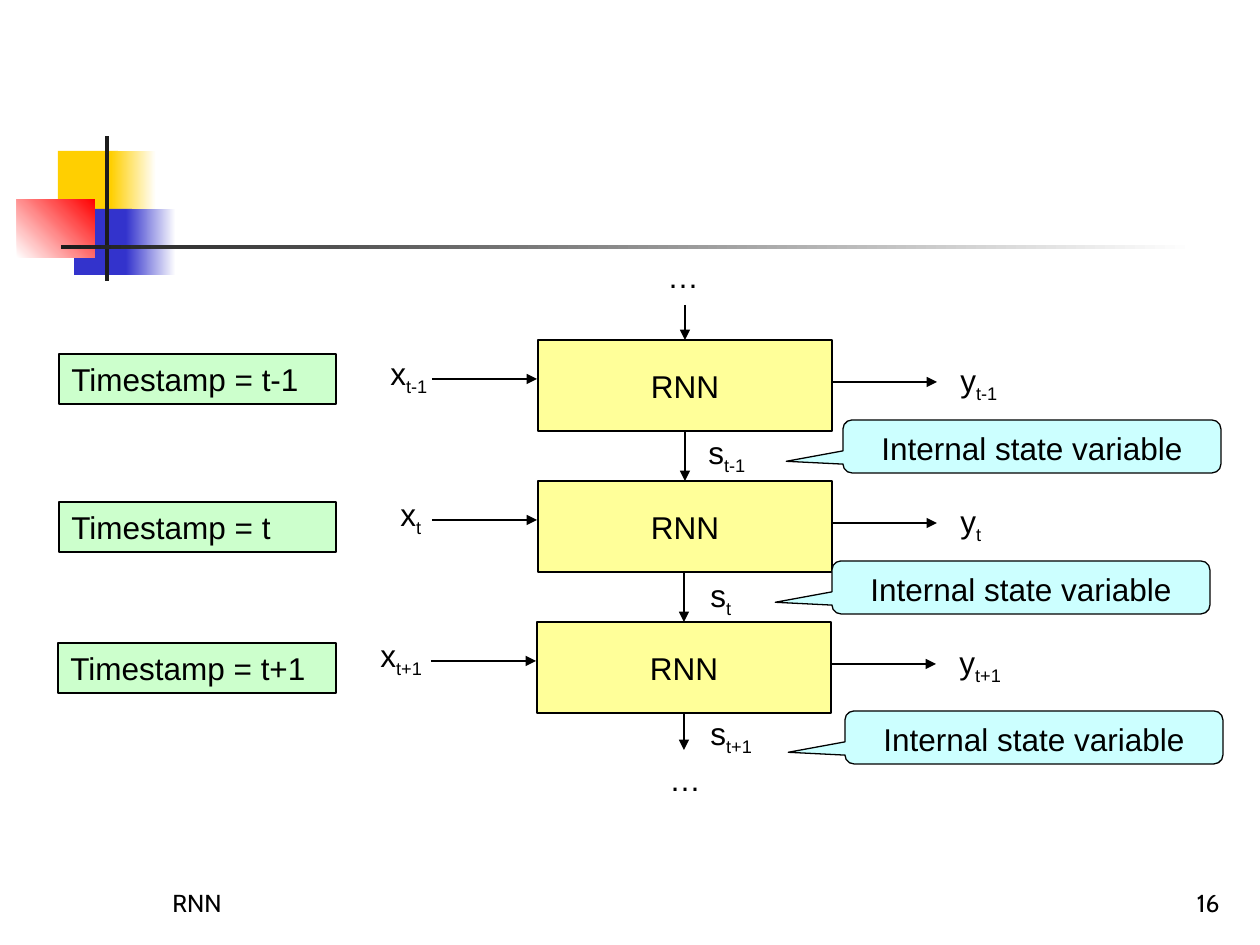
from lxml import etree
from pptx import Presentation
from pptx.dml.color import RGBColor
from pptx.enum.shapes import MSO_CONNECTOR, MSO_SHAPE
from pptx.enum.text import MSO_ANCHOR, MSO_AUTO_SIZE, PP_ALIGN
from pptx.oxml.ns import qn
from pptx.util import Emu, Inches, Pt

RECT = MSO_SHAPE.RECTANGLE
CALLOUT = MSO_SHAPE.ROUNDED_RECTANGULAR_CALLOUT
STRAIGHT = MSO_CONNECTOR.STRAIGHT
TOP, MIDDLE, BOTTOM = MSO_ANCHOR.TOP, MSO_ANCHOR.MIDDLE, MSO_ANCHOR.BOTTOM
LEFT, CENTER, RIGHT = PP_ALIGN.LEFT, PP_ALIGN.CENTER, PP_ALIGN.RIGHT
GROW = MSO_AUTO_SIZE.SHAPE_TO_FIT_TEXT
COLORS = {
    "black": "000000", "white": "FFFFFF", "dark": "1C1C1C",
    "gold": "FFCF01", "blue": "3333CC", "red": "FF0000",
    "stamp": "CCFFCC", "cell": "FFFF99", "callout": "CCFFFF",
}
PX_PER_INCH = 126
CELL_TOP, CELL_STEP, CELL_WIDTH, CELL_HEIGHT = 340, 141, 294, 91
LABEL_HEIGHT = 50
LABEL_WIDTHS = {"t-1": 66, "t": 48, "t+1": 72}


def px(length):
    return Emu(round(length * Inches(1) / PX_PER_INCH))


def color(name):
    return RGBColor.from_string(COLORS[name])


def write(shape, text, subscript="", align=LEFT, anchor=TOP, wrap=True,
          font="Arial", size=18):
    frame = shape.text_frame
    frame.word_wrap = wrap
    frame.vertical_anchor = anchor
    para = frame.paragraphs[0]
    para.alignment = align
    para.add_run().text = text
    if subscript:
        span = para.add_run()
        span.text = subscript
        span.font._element.set("baseline", "-25000")
    para.font.name = font
    para.font.size = Pt(size)
    para.font.color.rgb = color("black")


def add_block(page, kind, bounds, fill, outlined=False):
    shape = page.shapes.add_shape(kind, *map(px, bounds))
    shape.shadow.inherit = False
    shape.fill.solid()
    shape.fill.fore_color.rgb = color(fill)
    if outlined:
        shape.line.color.rgb = color("black")
        shape.line.width = Pt(0.75)
    else:
        shape.line.fill.background()
    return shape


def add_fade(page, bounds, start, end, angle=0):
    shape = add_block(page, RECT, bounds, start)
    shape.fill.gradient()
    shape.fill.gradient_angle = angle
    for stop, name in zip(shape.fill.gradient_stops, (start, end)):
        stop.color.rgb = color(name)


def add_label(page, left, top, width, text, subscript=""):
    box = page.shapes.add_textbox(*map(px, (left, top, width, LABEL_HEIGHT)))
    write(box, text, subscript, wrap=False)
    box.text_frame.auto_size = GROW


def add_footer(page, left, text, align):
    box = page.shapes.add_textbox(*map(px, (left, 861, 262, 63)))
    write(box, text, align=align, anchor=BOTTOM, font="Cabin", size=14)


def add_arrow(page, start, end, source=None, target=None):
    arrow = page.shapes.add_connector(STRAIGHT, *map(px, (*start, *end)))
    arrow.line.color.rgb = color("black")
    arrow.line.width = Pt(0.75)
    line = arrow.line._get_or_add_ln()
    etree.SubElement(line, qn("a:tailEnd"), type="triangle")
    etree.SubElement(arrow._element.spPr, qn("a:effectLst"))
    if source is not None:
        arrow.begin_connect(source, 2)
    if target is not None:
        arrow.end_connect(target, 0)


def add_decoration(page):
    add_block(page, RECT, (58, 151, 60, 66), "gold")
    add_fade(page, (111, 151, 45, 66), "gold", "white")
    add_block(page, RECT, (74, 209, 58, 66), "blue")
    add_fade(page, (126, 209, 50, 66), "blue", "white")
    add_fade(page, (17, 199, 78, 59), "white", "red", 45)
    add_block(page, RECT, (105, 136, 4, 145), "dark")
    add_fade(page, (61, 245, 1134, 4), "dark", "white")


def add_step(page, time, left, top, input_left):
    cell = add_block(page, RECT, (left, top, CELL_WIDTH, CELL_HEIGHT), "cell", True)
    write(cell, "RNN", align=CENTER, anchor=MIDDLE, wrap=False)
    right = left + CELL_WIDTH
    width = LABEL_WIDTHS[time]
    add_arrow(page, (left - 106, top + 39), (left - 1, top + 39))
    add_arrow(page, (right, top + 42), (right + 105, top + 42))
    add_label(page, input_left, top + 8, width, "x", time)
    add_label(page, right + 116, top + 15, width, "y", time)
    return cell


def add_stamp(page, time, left, top):
    stamp = add_block(page, RECT, (left, top, 336 - left, LABEL_HEIGHT), "stamp", True)
    write(stamp, f"Timestamp = {time}")
    stamp.text_frame.auto_size = GROW


def add_callout(page, left, top):
    callout = add_block(page, CALLOUT, (left, top, 378, 53), "callout", True)
    for index, value in enumerate((-0.65, 0.28, 0.17)):
        callout.adjustments[index] = value
    write(callout, "Internal state variable", align=CENTER)


def main():
    deck = Presentation()
    deck.slide_width, deck.slide_height = Inches(10), Inches(7.5)
    page = deck.slides.add_slide(deck.slide_layouts[6])
    add_decoration(page)
    add_footer(page, 160, "RNN", LEFT)
    add_footer(page, 970, "16", RIGHT)

    steps = [("t-1", 538, 378), ("t", 538, 388), ("t+1", 537, 368)]
    first, second, third = [
        add_step(page, time, left, CELL_TOP + row * CELL_STEP, input_left)
        for row, (time, left, input_left) in enumerate(steps)
    ]
    add_arrow(page, (685, 305), (685, 340), target=first)
    add_arrow(page, (685, 431), (685, 481), first, second)
    add_arrow(page, (684, 573), (684, 622), target=third)
    add_arrow(page, (684, 713), (684, 750), source=third)
    add_label(page, 655, 251, 57, "…")
    add_label(page, 657, 754, 57, "…")

    for time, left, top in (("t-1", 59, 354), ("t", 59, 502), ("t+1", 58, 643)):
        add_stamp(page, time, left, top)
    for time, left, top in (("t-1", 696, 427), ("t", 698, 570), ("t+1", 698, 708)):
        add_label(page, left, top, LABEL_WIDTHS[time], "s", time)
    for left, top in ((843, 420), (832, 561), (845, 711)):
        add_callout(page, left, top)
    deck.save("out.pptx")


if __name__ == "__main__":
    main()
